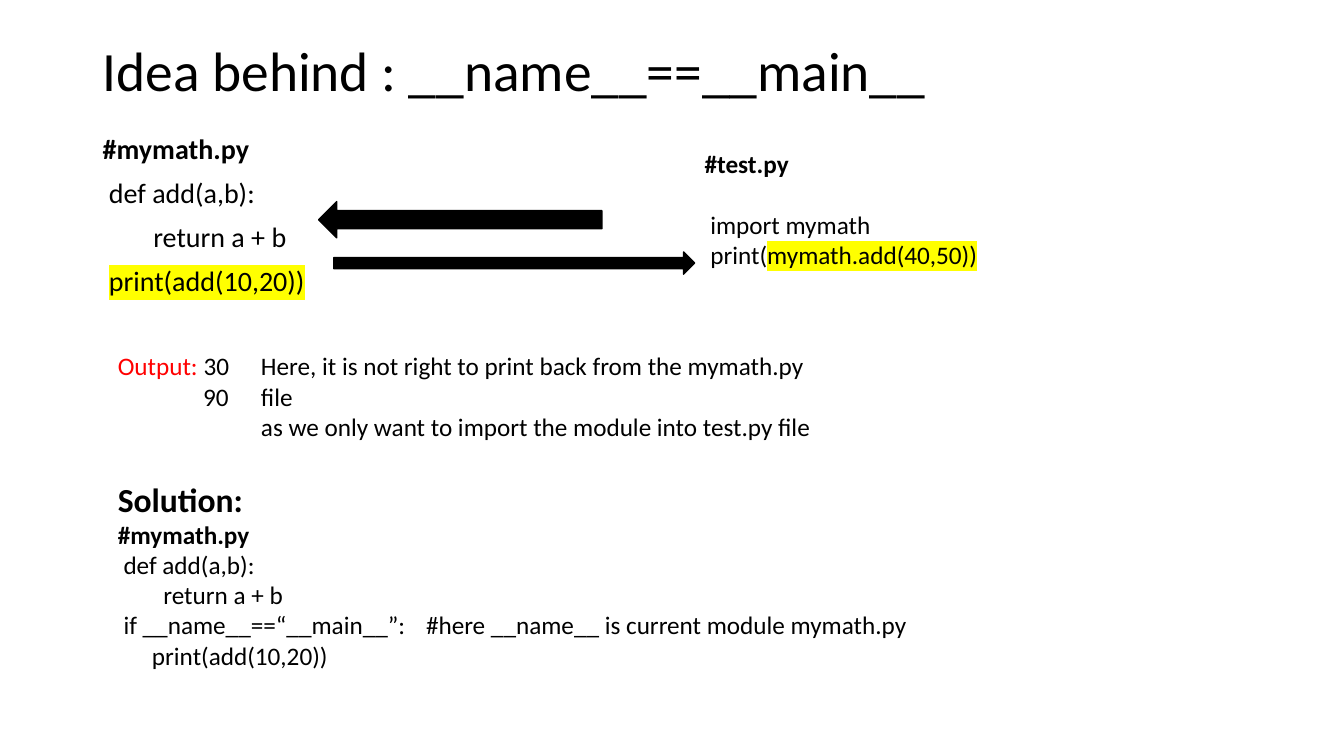
from lxml.etree import SubElement
from pptx import Presentation
from pptx.dml.color import RGBColor
from pptx.enum.shapes import MSO_SHAPE
from pptx.enum.text import MSO_ANCHOR
from pptx.oxml.ns import qn
from pptx.util import Inches, Pt

BLACK, RED, YELLOW = "000000", "FF0000", "FFFF00"
FONT = "Calibri"
SPACE_WIDTH = 0.226  # width of one space as a share of the font size
COMMENT_TAB = 3.07


def color(hex_string):
    """Return the colour for a hex string."""
    return RGBColor.from_string(hex_string)


def add_text(box, lines, line_spacing=1.0, space_before=0):
    """Add a text box; a line is (indent in spaces, size, bold, runs)."""
    shape = slide.shapes.add_textbox(*[Inches(length) for length in box])
    text_frame = shape.text_frame
    text_frame.word_wrap = True
    for index, (indent, size, bold, runs) in enumerate(lines):
        paragraph = text_frame.paragraphs[0] if index == 0 else text_frame.add_paragraph()
        paragraph.line_spacing = line_spacing
        paragraph.space_before = Pt(space_before)
        properties = paragraph._p.get_or_add_pPr()
        properties.set("marL", str(Pt(indent * size * SPACE_WIDTH)))
        properties.set("indent", "0")
        for text, font_color, highlight in runs:
            run = paragraph.add_run()
            run.text = text
            run.font.size, run.font.bold, run.font.name = Pt(size), bold, FONT
            run.font.color.rgb = color(font_color)
            if highlight:
                mark = SubElement(run._r.rPr, qn("a:highlight"))
                SubElement(mark, qn("a:srgbClr")).set("val", highlight)
                run._r.rPr.find(qn("a:latin")).addprevious(mark)
    return text_frame


presentation = Presentation()
presentation.slide_width, presentation.slide_height = Inches(13.33), Inches(7.5)
slide = presentation.slides.add_slide(presentation.slide_layouts[6])

title = add_text((0.92, 0.4, 11.5, 0.66), [
    (0, 39.6, False, [("Idea behind : __name__==__main__", BLACK, None)]),
], line_spacing=0.9)
title.vertical_anchor = MSO_ANCHOR.MIDDLE

add_text((0.92, 1.29, 4.37, 2.7), [
    (0, 20, True, [("#mymath.py", BLACK, None)]),
    (1, 20, False, [("def add(a,b):", BLACK, None)]),
    (8, 20, False, [("return a + b", BLACK, None)]),
    (1, 20, False, [("print(add(10,20))", BLACK, YELLOW)]),
], line_spacing=0.9, space_before=10)

test_file = add_text((6.89, 1.42, 4.03, 1.31), [
    (0, 18, True, [("#test.py", BLACK, None)]),
    (1, 18, False, [("import mymath", BLACK, None)]),
    (1, 18, False, [("print(", BLACK, None), ("mymath.add(40,50))", BLACK, YELLOW)]),
])
test_file.paragraphs[1].space_before = Pt(22)

add_text((1.07, 3.43, 1.33, 0.71), [
    (0, 18, False, [("Output:", RED, None), (" 30", BLACK, None)]),
    (15, 18, False, [("90", BLACK, None)]),
])

add_text((2.49, 3.43, 5.91, 1.01), [
    (0, 18, False, [("Here, it is not right to print back from the mymath.py file", BLACK, None)]),
    (0, 18, False, [("as we only want to import the module into test.py file", BLACK, None)]),
])

condition = "if __name__==“__main__”:\t#here __name__ is current module mymath.py"
solution = add_text((1.07, 4.7, 8.15, 2.02), [
    (0, 24, True, [("Solution:", BLACK, None)]),
    (0, 18, True, [("#mymath.py", BLACK, None)]),
    (1, 18, False, [("def add(a,b):", BLACK, None)]),
    (8, 18, False, [("return a + b", BLACK, None)]),
    (1, 18, False, [(condition, BLACK, None)]),
    (6, 18, False, [("print(add(10,20))", BLACK, None)]),
])
tab_list = SubElement(solution.paragraphs[4]._p.pPr, qn("a:tabLst"))
tab = SubElement(tab_list, qn("a:tab"))
tab.set("pos", str(Inches(COMMENT_TAB)))
tab.set("algn", "l")

for arrow_kind, box in [
    (MSO_SHAPE.LEFT_ARROW, (3.16, 2, 2.81, 0.36)),
    (MSO_SHAPE.RIGHT_ARROW, (3.31, 2.5, 3.58, 0.22)),
]:
    arrow = slide.shapes.add_shape(arrow_kind, *[Inches(length) for length in box])
    arrow.shadow.inherit = False
    arrow.fill.solid()
    arrow.fill.fore_color.rgb = color(BLACK)
    arrow.line.color.rgb = color(BLACK)
    arrow.line.width = Pt(1)

presentation.save("out.pptx")
